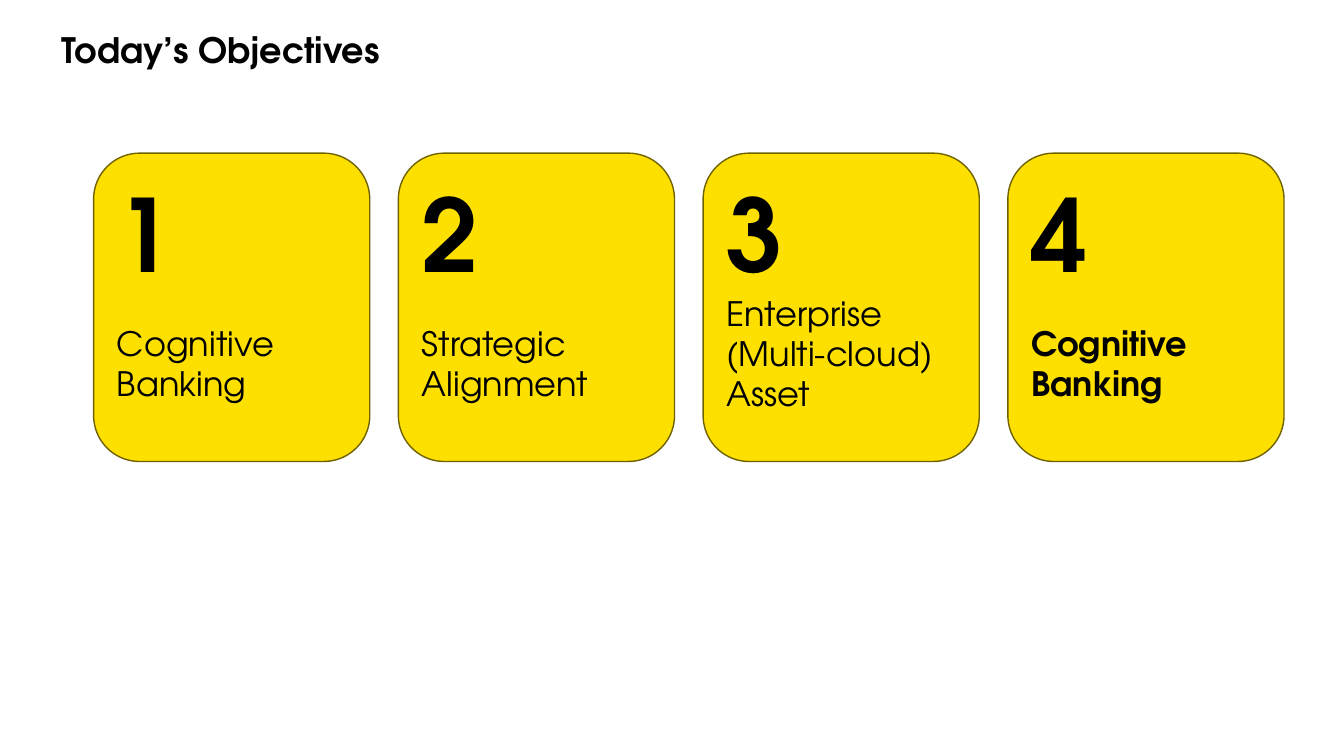
from pptx import Presentation
from pptx.dml.color import RGBColor
from pptx.enum.shapes import MSO_SHAPE as SHAPE
from pptx.enum.text import MSO_ANCHOR as ANCHOR, PP_ALIGN as ALIGN
from pptx.util import Cm, Pt

FONT = "TeX Gyre Adventor"
OBJECTIVES = [
    ("Cognitive Banking", False, 21.7),
    ("Strategic Alignment", False, 21.7),
    ("Enterprise (Multi-cloud) Asset", False, 0),
    ("Cognitive Banking", True, 21.7),
]


def color(value):
    return RGBColor.from_string(value)


def style(p, size, bold):
    p.alignment = ALIGN.LEFT
    for r in p.runs:
        r.font.name = FONT
        r.font.size = Pt(size)
        r.font.bold = bold
        r.font.color.rgb = color("000000")


def add_title(s, text, x, y, w, h):
    tf = s.shapes.add_textbox(Cm(x), Cm(y), Cm(w), Cm(h)).text_frame
    tf.word_wrap = True
    tf.vertical_anchor = ANCHOR.BOTTOM
    tf.text = text
    p = tf.paragraphs[0]
    p.line_spacing = 0.9
    style(p, 25, True)


def add_card(s, number, label, bold, gap, x, y, w, h):
    sp = s.shapes.add_shape(SHAPE.ROUNDED_RECTANGLE, Cm(x), Cm(y), Cm(w), Cm(h))
    sp.shadow.inherit = False
    sp.fill.solid()
    sp.fill.fore_color.rgb = color("FEE000")
    sp.line.color.rgb = color("6F6200")
    sp.line.width = Pt(1)
    tf = sp.text_frame
    tf.word_wrap = True
    tf.vertical_anchor = ANCHOR.TOP
    tf.text = str(number)
    style(tf.paragraphs[0], 72, True)
    p = tf.add_paragraph()
    p.text = label
    p.space_before = Pt(gap)
    style(p, 24, bold)


def add_cards(s, x, y, w, h, gap):
    card_w = (w - gap * (len(OBJECTIVES) - 1)) / len(OBJECTIVES)
    for i, (label, bold, space) in enumerate(OBJECTIVES):
        add_card(s, i + 1, label, bold, space, x + i * (card_w + gap), y, card_w, h)


def main():
    prs = Presentation()
    prs.slide_width, prs.slide_height = Cm(33.87), Cm(19.05)
    s = prs.slides.add_slide(prs.slide_layouts[6])
    add_cards(s, 2.36, 3.86, 30, 7.77, 0.72)
    add_title(s, "Today’s Objectives", 1.3, 0.69, 31.39, 1.22)
    prs.save("out.pptx")


if __name__ == "__main__":
    main()
